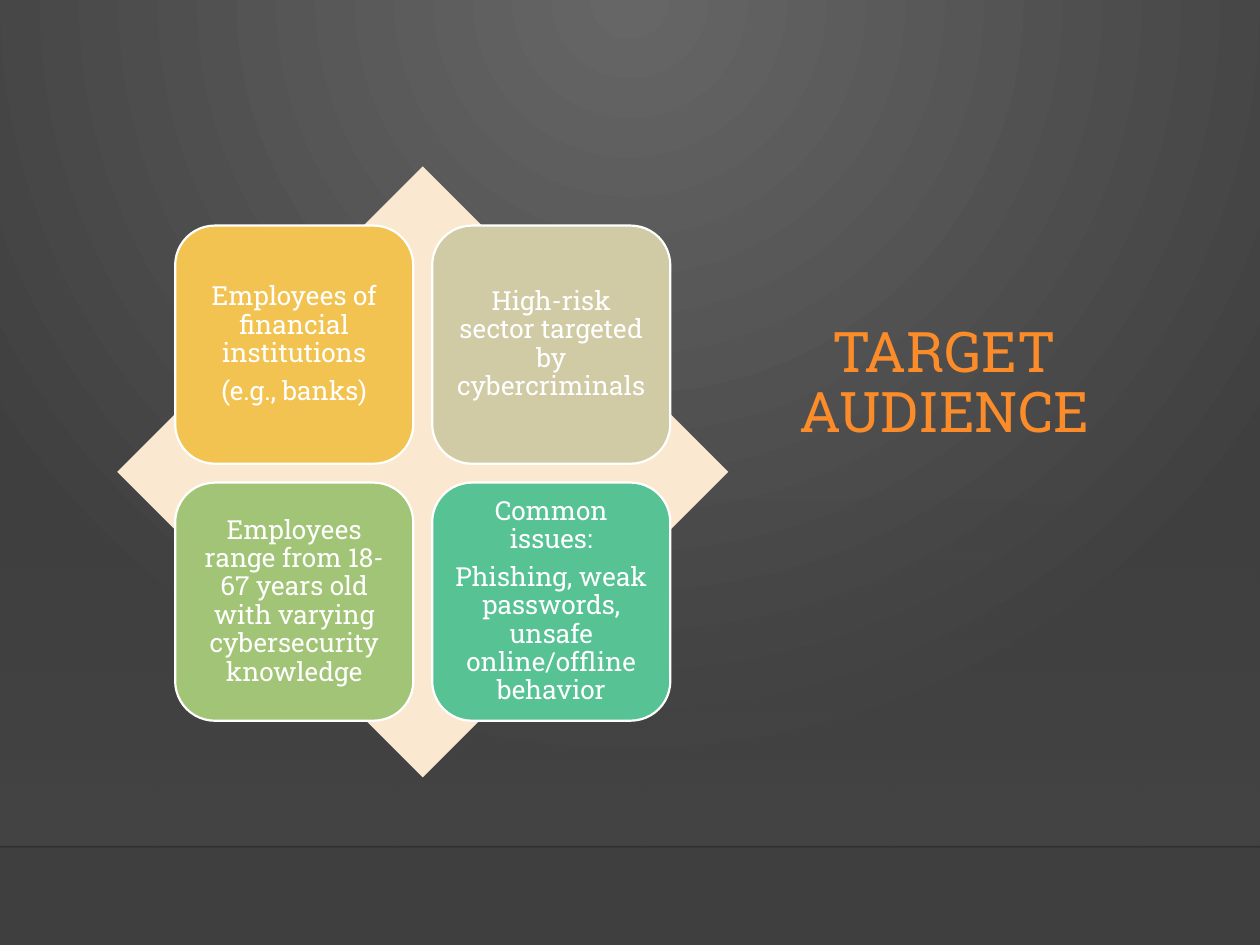
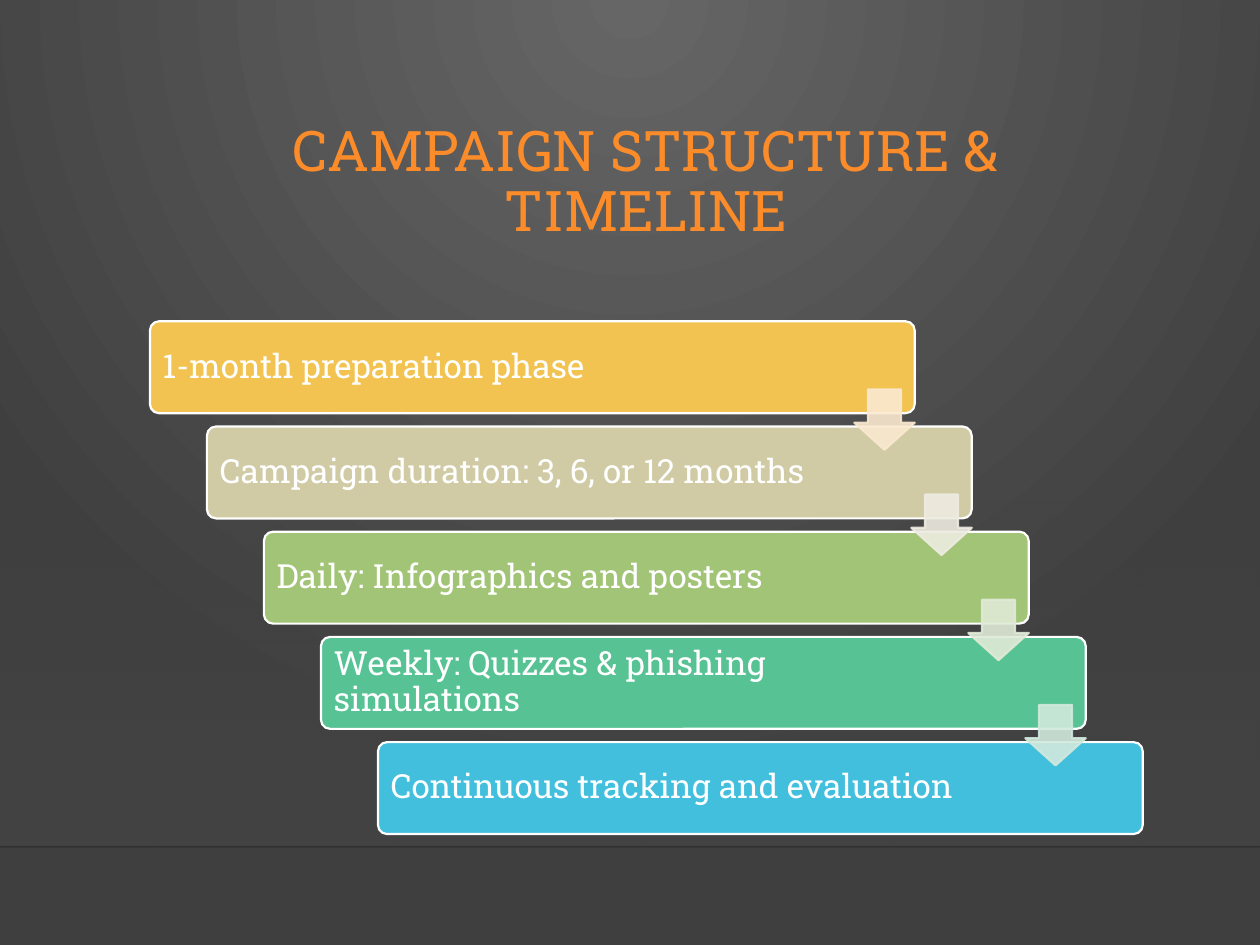
from pptx import Presentation
from pptx import util as u
from pptx.dml.color import RGBColor
from pptx.enum import shapes, text
from pptx.oxml import parse_xml
from pptx.oxml.ns import nsdecls

FONT = "Roboto Slab"
COLORS = {
    "glow": "666666", "edge": "3F3F3F", "floor": "454545", "rule": "000001",
    "title": "FB8C29", "white": "FFFFFF", "cream": "FAE9D0",
    "amber": "F2C351", "sand": "D0CBA5", "green": "A2C476",
    "teal": "57C293", "blue": "43BFDE",
    "pale sand": "EEECE1", "pale green": "E0EAD6", "pale teal": "D1E9DC",
}
RGB = {name: RGBColor.from_string(value) for name, value in COLORS.items()}


def write(frame, paragraphs, size, color, align, anchor, space_after=0):
    frame.word_wrap = True
    frame.auto_size = text.MSO_AUTO_SIZE.NONE
    frame.vertical_anchor = anchor
    for i, words in enumerate(paragraphs):
        para = frame.add_paragraph() if i else frame.paragraphs[0]
        para.alignment = align
        para.line_spacing = 0.9
        para.space_before = u.Pt(0)
        para.space_after = u.Pt(space_after)
        run = para.add_run()
        run.text = words
        run.font.name = FONT
        run.font.size = u.Pt(size)
        run.font.color.rgb = RGB[color]


def set_opacity(element, percents):
    for color, percent in zip(element.xpath(".//p:spPr//a:srgbClr"), percents):
        color.append(parse_xml(f'<a:alpha {nsdecls("a")} val="{percent * 1000}"/>'))


prs = Presentation()
prs.slide_width, prs.slide_height = u.Inches(10), u.Inches(7.5)
master = prs.slide_master
title_only = prs.slide_layouts[5]
audience = prs.slides.add_slide(title_only)
timeline = prs.slides.add_slide(title_only)

# Shared background: a glow from the top centre
backdrop = master.background.fill
backdrop.gradient()
for stop, name in zip(backdrop.gradient_stops, ("glow", "edge")):
    stop.color.rgb = RGB[name]
linear = master.element.xpath(".//p:bg//a:lin")[0]
linear.getparent().replace(linear, parse_xml(
    f'<a:path {nsdecls("a")} path="circle">'
    '<a:fillToRect l="43000" t="0" r="43000" b="100000"/></a:path>'))

# Shared floor and rule, kept on the master
floor = audience.shapes.add_shape(
    shapes.MSO_SHAPE.RECTANGLE, 0, u.Inches(3.96), u.Inches(10), u.Inches(2.75))
floor.shadow.inherit = False
floor.line.fill.background()
floor.fill.gradient()
floor.fill.gradient_angle = 270
for stop in floor.fill.gradient_stops:
    stop.color.rgb = RGB["floor"]
set_opacity(floor.element, (0, 80))

rule = audience.shapes.add_connector(
    shapes.MSO_CONNECTOR.STRAIGHT, 0, u.Inches(6.72), u.Inches(10), u.Inches(6.72))
rule.line.color.rgb = RGB["rule"]
rule.line.width = u.Pt(1)
set_opacity(rule.element, (20,))
rule.element.spPr.append(parse_xml(f'<a:effectLst {nsdecls("a")}/>'))

for i, part in enumerate((floor, rule)):
    part.element.xpath(".//p:cNvPr")[0].set("id", str(20 + i))
    master.element.cSld.spTree.insert(2 + i, part.element)

# Titles
TITLES = [
    (audience, "TARGET AUDIENCE", (6.2, 2.52, 2.59, 4.1), text.MSO_ANCHOR.TOP),
    (timeline, "CAMPAIGN STRUCTURE & TIMELINE", (1.19, 0.88, 7.88, 1.15),
     text.MSO_ANCHOR.MIDDLE),
]
for slide, words, box, anchor in TITLES:
    heading = slide.shapes.title
    heading.left, heading.top, heading.width, heading.height = map(u.Inches, box)
    write(heading.text_frame, [words], 32, "title", text.PP_ALIGN.CENTER, anchor)

# Target audience: four cards on a diamond
diamond = audience.shapes.add_shape(
    shapes.MSO_SHAPE.DIAMOND, u.Inches(0.93), u.Inches(1.32),
    u.Inches(4.85), u.Inches(4.85))
diamond.shadow.inherit = False
diamond.fill.solid()
diamond.fill.fore_color.rgb = RGB["cream"]
diamond.line.fill.background()

CARDS = [
    ("amber", ["Employees of financial institutions", "(e.g., banks)"]),
    ("sand", ["High-risk sector targeted by cybercriminals"]),
    ("green", ["Employees range from 18-67 years old with varying "
               "cybersecurity knowledge"]),
    ("teal", ["Common issues:",
              "Phishing, weak passwords, unsafe online/offline behavior"]),
]
CARD_SIZE, CARD_PITCH = 1.89, 2.04
for i, (color, lines) in enumerate(CARDS):
    row, col = divmod(i, 2)
    card = audience.shapes.add_shape(
        shapes.MSO_SHAPE.ROUNDED_RECTANGLE,
        u.Inches(1.39 + col * CARD_PITCH), u.Inches(1.79 + row * CARD_PITCH),
        u.Inches(CARD_SIZE), u.Inches(CARD_SIZE))
    card.shadow.inherit = False
    card.fill.solid()
    card.fill.fore_color.rgb = RGB[color]
    card.line.color.rgb = RGB["white"]
    card.line.width = u.Pt(1.25)
    frame = card.text_frame
    frame.margin_left = frame.margin_right = u.Inches(0.06)
    frame.margin_top = frame.margin_bottom = u.Inches(0.06)
    write(frame, lines, 15, "white", text.PP_ALIGN.CENTER,
          text.MSO_ANCHOR.MIDDLE, 5.25)

# Timeline: a staircase of five phases
PHASES = [
    ("amber", "1-month preparation phase"),
    ("sand", "Campaign duration: 3, 6, or 12 months"),
    ("green", "Daily: Infographics and posters"),
    ("teal", "Weekly: Quizzes & phishing simulations"),
    ("blue", "Continuous tracking and evaluation"),
]
STEP_X, STEP_Y = 1.81 / 4, 3.34 / 4
for i, (color, words) in enumerate(PHASES):
    phase = timeline.shapes.add_shape(
        shapes.MSO_SHAPE.ROUNDED_RECTANGLE,
        u.Inches(1.19 + i * STEP_X), u.Inches(2.55 + i * STEP_Y),
        u.Inches(6.07), u.Inches(0.73))
    phase.adjustments[0] = 0.1
    phase.shadow.inherit = False
    phase.fill.solid()
    phase.fill.fore_color.rgb = RGB[color]
    phase.line.color.rgb = RGB["white"]
    phase.line.width = u.Pt(1.25)
    frame = phase.text_frame
    frame.margin_left = frame.margin_top = frame.margin_bottom = u.Inches(0.08)
    frame.margin_right = u.Inches(1.02)  # keeps words clear of the arrow
    write(frame, [words], 19, "white", text.PP_ALIGN.LEFT,
          text.MSO_ANCHOR.MIDDLE, 6.65)

# Arrows from each phase to the next
for i, color in enumerate(("cream", "pale sand", "pale green", "pale teal")):
    arrow = timeline.shapes.add_shape(
        shapes.MSO_SHAPE.DOWN_ARROW,
        u.Inches(6.78 + i * STEP_X), u.Inches(3.09 + i * STEP_Y),
        u.Inches(0.48), u.Inches(0.48))
    # The preset lists shaft width after head length
    arrow.adjustments[0], arrow.adjustments[1] = 0.55, 0.45
    arrow.shadow.inherit = False
    arrow.fill.solid()
    arrow.fill.fore_color.rgb = RGB[color]
    arrow.line.color.rgb = RGB[color]
    arrow.line.width = u.Pt(1.25)
    set_opacity(arrow.element, (90, 90))

prs.save("out.pptx")
